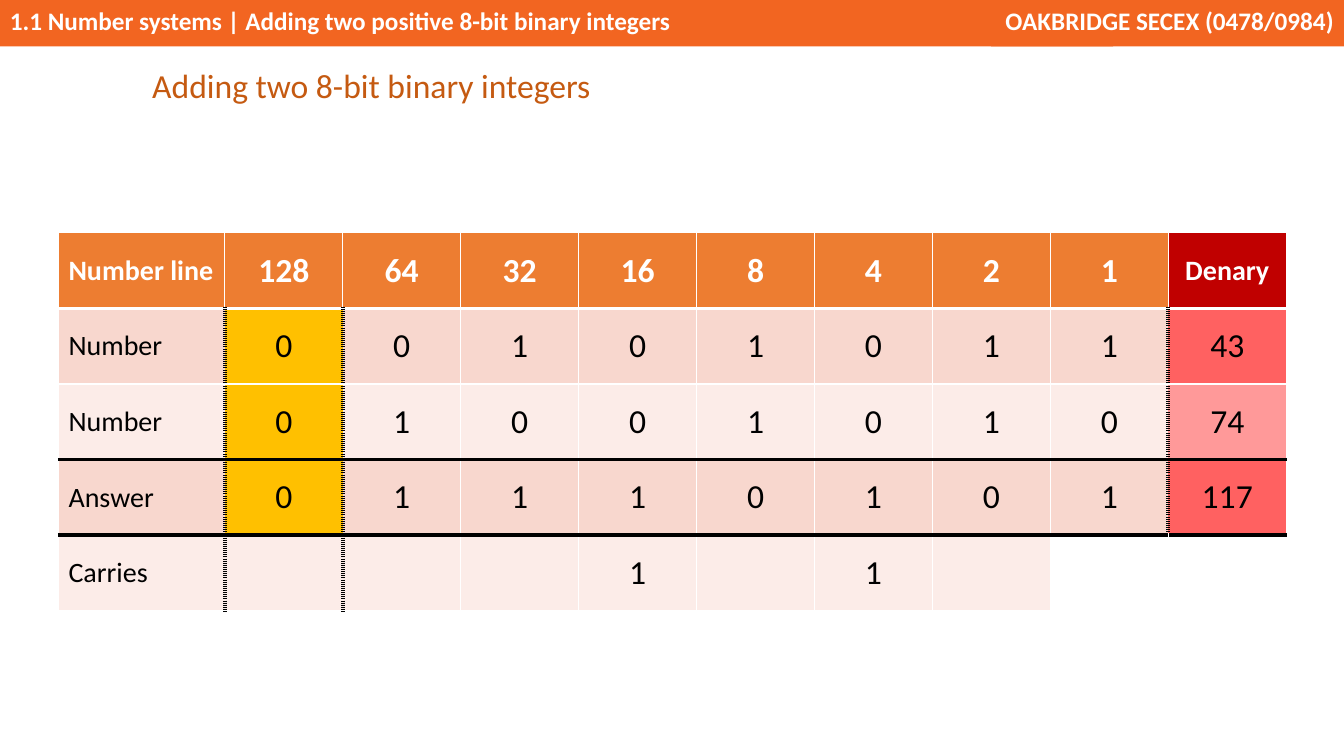
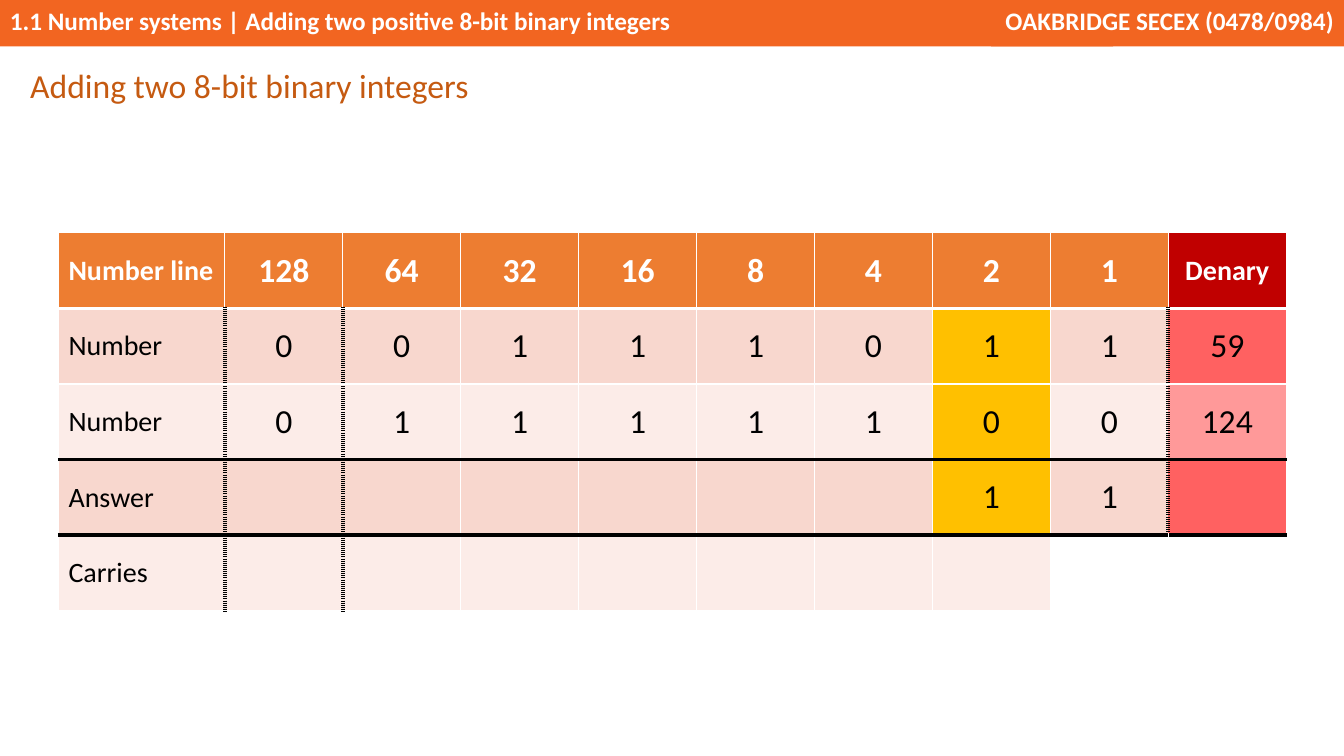
"""Build two slides on adding 8-bit binary integers."""
import lxml.etree
import pptx
import pptx.dml.color
import pptx.enum.shapes
import pptx.enum.text
import pptx.oxml.ns
import pptx.util

Inches = pptx.util.Inches
Pt = pptx.util.Pt
ALIGN = pptx.enum.text.PP_ALIGN
ANCHOR = pptx.enum.text.MSO_ANCHOR

WHITE, BLACK = "FFFFFF", "000000"
BAND, TITLE, HEADER, DENARY = "F26521", "C55A11", "ED7D31", "C00000"
HIGHLIGHT = "FFC000"
ROW_FILLS = ["F8D7CE", "FCECE8"]
DENARY_FILLS = ["FF6161", "FF9999"]
LABEL_WIDTH, BIT_WIDTH, ROW_HEIGHT = 1.65, 1.17, 0.75

BANDS = [
    (0, 11.04, ALIGN.LEFT, "1.1 Number systems | Adding two positive 8-bit binary integers"),
    (9.83, 3.5, ALIGN.RIGHT, "OAKBRIDGE SECEX (0478/0984)"),
]
HEADINGS = ["Number line", *(str(2 ** power) for power in range(7, -1, -1)), "Denary"]
ROW_LABELS = ["Number", "Number", "Answer", "Carries"]
SUMS = [
    {
        "title_left": 1.41,
        "highlight": 1,
        "rows": [("00101011", "43"), ("01001010", "74"), ("01110101", "117"), ("   1 1  ", "")],
    },
    {
        "title_left": 0.2,
        "highlight": 7,
        "rows": [("00111011", "59"), ("01111100", "124"), ("      11", ""), ("        ", "")],
    },
]


def color(value):
    return pptx.dml.color.RGBColor.from_string(value)


def write(frame, text, size, font_color, bold=False, align=ALIGN.LEFT):
    paragraph = frame.paragraphs[0]
    paragraph.alignment = align
    paragraph.text = text
    paragraph.font.color.rgb = color(font_color)
    for name, value in {"name": "Calibri", "size": Pt(size), "bold": bold}.items():
        setattr(paragraph.font, name, value)
    return paragraph


presentation = pptx.Presentation()
presentation.slide_width = Inches(13.33)
presentation.slide_height = Inches(7.5)
layout = presentation.slide_layouts[5]
for placeholder in list(layout.placeholders)[1:]:
    layout.shapes.element.remove(placeholder.element)
slides = [presentation.slides.add_slide(layout) for _ in SUMS]

bands = []
for left, width, align, text in BANDS:
    band = slides[0].shapes.add_shape(
        pptx.enum.shapes.MSO_SHAPE.RECTANGLE, Inches(left), 0, Inches(width), Inches(0.46)
    )
    band.shadow.inherit = False
    band.fill.solid()
    band.fill.fore_color.rgb = color(BAND)
    band.line.fill.background()
    band.text_frame.vertical_anchor = ANCHOR.TOP
    write(band.text_frame, text, 18, WHITE, True, align)
    bands.append(band)
for band in bands:
    layout.shapes.element.append(band.element)

for slide, binary_sum in zip(slides, SUMS):
    title = slide.shapes.title
    position = {"left": binary_sum["title_left"], "top": 0.57, "width": 4.8, "height": 0.51}
    for name, value in position.items():
        setattr(title, name, Inches(value))
    frame_format = {
        "word_wrap": True,
        "auto_size": pptx.enum.text.MSO_AUTO_SIZE.SHAPE_TO_FIT_TEXT,
        "vertical_anchor": ANCHOR.TOP,
    }
    for name, value in frame_format.items():
        setattr(title.text_frame, name, value)
    paragraph = write(title.text_frame, "Adding two 8-bit binary integers", 24, TITLE)
    paragraph.line_spacing = 1.07
    paragraph.space_after = Pt(8)

    rows = [HEADINGS]
    for label, (bits, denary) in zip(ROW_LABELS, binary_sum["rows"]):
        rows.append([label, *(bit.strip() for bit in bits), denary])
    last_row, last_column = len(rows) - 1, len(HEADINGS) - 1
    table = slide.shapes.add_table(
        len(rows), len(HEADINGS), Inches(0.58), Inches(2.31),
        Inches(LABEL_WIDTH + last_column * BIT_WIDTH), Inches(len(rows) * ROW_HEIGHT),
    ).table
    table.horz_banding = False
    for index, column in enumerate(table.columns):
        column.width = Inches(BIT_WIDTH if index else LABEL_WIDTH)

    for row, texts in enumerate(rows):
        table.rows[row].height = Inches(ROW_HEIGHT)
        for column, text in enumerate(texts):
            cell = table.cell(row, column)
            is_header, is_label, is_denary = row == 0, column == 0, column == last_column
            cell.vertical_anchor = ANCHOR.MIDDLE
            write(
                cell.text_frame, text,
                20 if is_label or (is_header and is_denary) else 24,
                WHITE if is_header else BLACK,
                is_header,
                ALIGN.LEFT if is_label else ALIGN.CENTER,
            )

            properties = cell._tc.get_or_add_tcPr()
            edges = [("lnL", column, None), ("lnR", column + 1, None),
                     ("lnT", None, row), ("lnB", None, row + 1)]
            for tag, column_edge, row_edge in edges:
                is_dotted = not is_header and (
                    column_edge in (1, 2) or (column_edge == last_column and row < last_row)
                )
                is_ruled = row_edge in (3, 4)
                is_thick = is_dotted or is_ruled or row_edge == 1
                line = lxml.etree.SubElement(
                    properties, pptx.oxml.ns.qn(f"a:{tag}"), w=str(Pt(3 if is_thick else 1))
                )
                fill = lxml.etree.SubElement(line, pptx.oxml.ns.qn("a:solidFill"))
                lxml.etree.SubElement(
                    fill, pptx.oxml.ns.qn("a:srgbClr"),
                    val=BLACK if is_dotted or is_ruled else WHITE,
                )
                lxml.etree.SubElement(
                    line, pptx.oxml.ns.qn("a:prstDash"), val="dot" if is_dotted else "solid"
                )

            if is_header:
                cell_fill = DENARY if is_denary else HEADER
            elif row == last_row and column >= last_column - 1:
                cell_fill = WHITE
            elif column == binary_sum["highlight"] and row < last_row:
                cell_fill = HIGHLIGHT
            else:
                cell_fill = (DENARY_FILLS if is_denary else ROW_FILLS)[(row - 1) % 2]
            cell.fill.solid()
            cell.fill.fore_color.rgb = color(cell_fill)

presentation.save("out.pptx")
